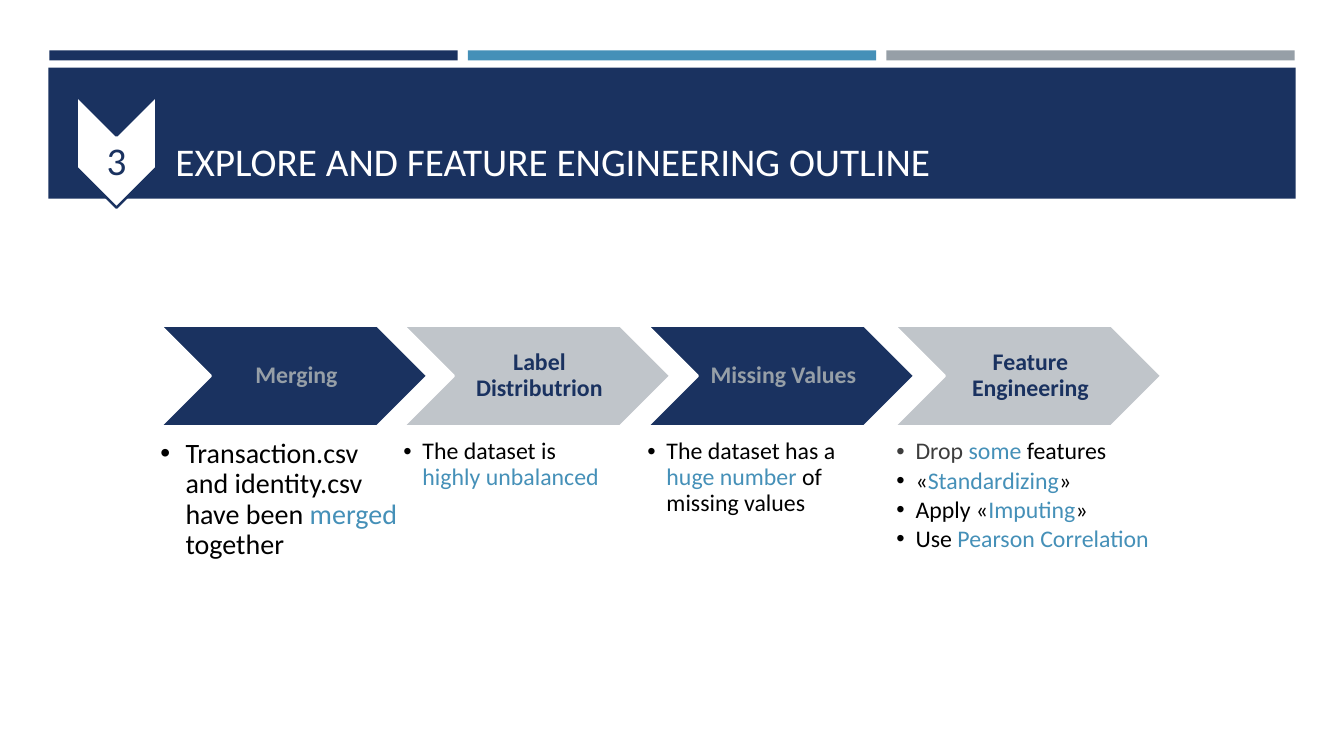
from dataclasses import dataclass

from lxml.etree import SubElement
from pptx import Presentation
from pptx.dml.color import RGBColor
from pptx.enum.shapes import MSO_SHAPE
from pptx.enum.text import MSO_ANCHOR, PP_ALIGN
from pptx.oxml.ns import qn
from pptx.util import Inches, Pt


@dataclass(frozen=True)
class Theme:
    font: str = "Calibri"
    navy: str = "1A3260"
    blue: str = "4590B8"
    gray: str = "969FA7"
    pale: str = "C0C5CA"
    white: str = "FFFFFF"
    black: str = "000000"
    dark: str = "3D3D3D"
    head: int = 28
    large: int = 20
    body: int = 17
    edge: float = 1.75


@dataclass(frozen=True)
class Step:
    left: float
    label: str
    fill: str
    color: str
    points: list
    size: int = Theme.body
    width: float = 2.12
    shift: float = 0
    indent: float = 0.19


THEME = Theme()
BLACK, BLUE = THEME.black, THEME.blue

STEPS = [
    Step(1.59, "Merging", THEME.navy, THEME.gray,
         [[("Transaction.csv and identity.csv have been ", BLACK),
           ("merged", BLUE), (" together", BLACK)]],
         size=THEME.large, width=2.38, indent=0.25),
    Step(4, "Label Distributrion", THEME.pale, THEME.navy,
         [[("The dataset is ", BLACK), ("highly unbalanced", BLUE)]]),
    Step(6.42, "Missing Values", THEME.navy, THEME.gray,
         [[("The dataset has a ", BLACK), ("huge number ", BLUE),
           ("of missing values", BLACK)]]),
    Step(8.87, "Feature Engineering", THEME.pale, THEME.navy,
         [[("Drop ", THEME.dark), ("some", BLUE), (" features", BLACK)],
          [("«", BLACK), ("Standardizing", BLUE), ("»", BLACK)],
          [("Apply «", BLACK), ("Imputing", BLUE), ("»", BLACK)],
          [("Use ", BLACK), ("Pearson Correlation", BLUE)]],
         width=2.91, shift=0.02),
]


def add_shape(slide, kind, box, fill, line=None):
    shape = slide.shapes.add_shape(kind, *map(Inches, box))
    shape.shadow.inherit = False
    shape.fill.solid()
    shape.fill.fore_color.rgb = RGBColor.from_string(fill)
    if line:
        shape.line.color.rgb = RGBColor.from_string(line)
        shape.line.width = Pt(THEME.edge)
    else:
        shape.line.fill.background()
    return shape


def set_frame(frame, anchor, insets):
    frame.word_wrap = True
    frame.vertical_anchor = anchor
    (frame.margin_left, frame.margin_top,
     frame.margin_right, frame.margin_bottom) = map(Inches, insets)


def add_run(para, text, size, color, bold=False):
    run = para.add_run()
    run.text = text
    run.font.name = THEME.font
    run.font.size = Pt(size)
    run.font.bold = bold
    run.font.color.rgb = RGBColor.from_string(color)


def add_label(slide, box, insets, text, size, color, bold=False):
    frame = slide.shapes.add_textbox(*map(Inches, box)).text_frame
    set_frame(frame, MSO_ANCHOR.MIDDLE, insets)
    para = frame.paragraphs[0]
    para.alignment = PP_ALIGN.CENTER
    para.line_spacing = 0.9
    add_run(para, text, size, color, bold)


def add_bullet(para, indent):
    props = para._p.get_or_add_pPr()
    props.set("marL", str(Inches(indent)))
    props.set("indent", str(-Inches(indent)))
    SubElement(props, qn("a:buFont")).set("typeface", "Arial")
    SubElement(props, qn("a:buChar")).set("char", "•")


def add_list(slide, box, step):
    frame = slide.shapes.add_textbox(*map(Inches, box)).text_frame
    set_frame(frame, MSO_ANCHOR.TOP, (0, 0, 0, 0))
    for index, point in enumerate(step.points):
        para = frame.add_paragraph() if index else frame.paragraphs[0]
        para.line_spacing = 0.9
        para.space_after = Pt(2.5)
        add_bullet(para, step.indent)
        for text, color in point:
            add_run(para, text, step.size, color)


def add_bars(slide, left, top, width):
    gap = 0.1
    size = (width - 2 * gap) / 3
    for index, color in enumerate((THEME.navy, THEME.blue, THEME.gray)):
        box = (left + index * (size + gap), top, size, 0.1)
        add_shape(slide, MSO_SHAPE.RECTANGLE, box, color)


def add_header(slide, left, top, width, height):
    add_shape(slide, MSO_SHAPE.RECTANGLE, (left, top, width, height), THEME.navy)
    title = slide.shapes.title
    slide.shapes._spTree.append(title._element)
    title.left, title.top = Inches(left + 1.16), Inches(top + 0.1)
    title.width, title.height = Inches(width - 1.31), Inches(height - 0.19)
    set_frame(title.text_frame, MSO_ANCHOR.BOTTOM, (0.1, 0.05, 0.1, 0.05))
    para = title.text_frame.paragraphs[0]
    para.alignment = PP_ALIGN.LEFT
    add_run(para, "EXPLORE AND FEATURE ENGINEERING OUTLINE", THEME.head, THEME.white)
    badge = add_shape(slide, MSO_SHAPE.CHEVRON, (left + 0.12, top + 0.44, 1.11, 0.79),
                      THEME.white, THEME.navy)
    badge.rotation = 90
    add_label(slide, (left + 0.28, top + 0.78, 0.79, 0.33), (0.01,) * 4,
              "3", THEME.head, THEME.navy)


def add_step(slide, step, top):
    width, height, inset = 2.65, 1, 0.5
    add_shape(slide, MSO_SHAPE.CHEVRON, (step.left, top, width, height),
              step.fill, THEME.white)
    add_label(slide, (step.left + inset, top, width - 2 * inset, height),
              (0.07, 0.02, 0.02, 0.02), step.label, THEME.body, step.color, True)
    add_list(slide, (step.left + step.shift, top + 1.13, step.width, 1.77), step)


def main():
    deck = Presentation()
    deck.slide_width, deck.slide_height = Inches(13.33), Inches(7.5)
    slide = deck.slides.add_slide(deck.slide_layouts[5])
    add_bars(slide, 0.49, 0.5, 12.35)
    add_header(slide, 0.48, 0.67, 12.37, 1.3)
    for step in STEPS:
        add_step(slide, step, 3.23)
    deck.save("out.pptx")


if __name__ == "__main__":
    main()
